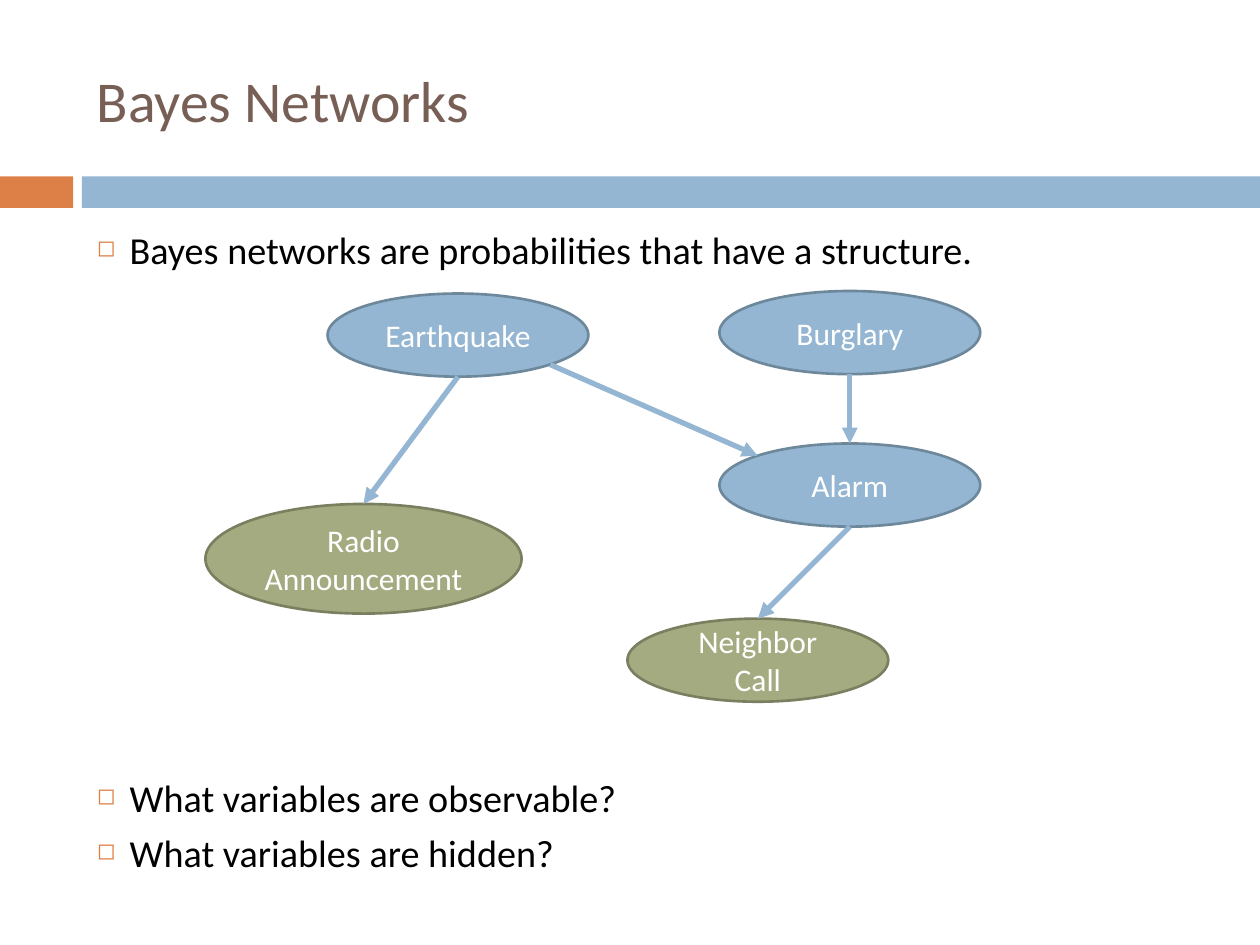
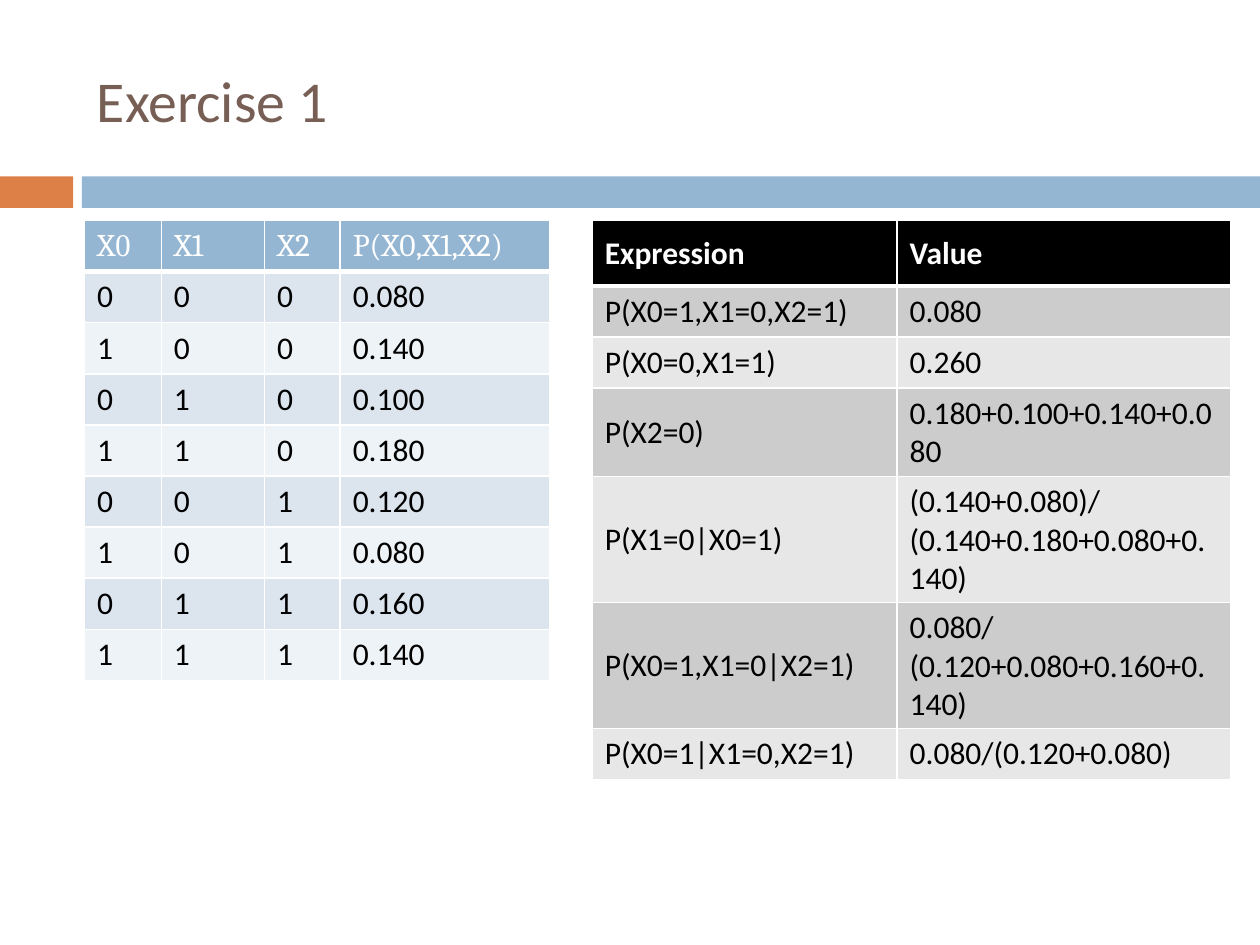
from dataclasses import dataclass
from math import cos, radians, sin

from lxml.etree import SubElement
from pptx import Presentation
from pptx.dml.color import RGBColor as RGB
from pptx.enum.shapes import MSO_CONNECTOR as CONN, MSO_SHAPE as SHAPE
from pptx.enum.text import MSO_ANCHOR as ANCHOR, PP_ALIGN as ALIGN
from pptx.oxml.ns import qn
from pptx.util import Inches, Pt


@dataclass(frozen=True)
class Theme:
    blue: str = "94B6D2"
    blue_line: str = "6D879B"
    green: str = "A5AB81"
    green_line: str = "7A7F5F"
    orange: str = "DD8047"
    brown: str = "775F55"
    black: str = "000000"
    white: str = "FFFFFF"
    blue_bands: tuple = ("DCE5EE", "EEF3F7")
    grey_bands: tuple = ("CCCCCC", "E7E7E7")
    font: str = "Calibri"
    math_font: str = "Cambria"
    digit_font: str = "Times New Roman"
    title_size: float = 33
    body_size: float = 21.8
    label_size: float = 18


T = Theme()

# Content: bullets as (top, lines)
BULLETS = [
    (1.75, ["Bayes networks are probabilities that have a structure."]),
    (6.1, ["What variables are observable?", "What variables are hidden?"]),
]

# Network nodes: name -> (left, top, width, height, observable)
NODES = {
    "Earthquake": (2.6, 2.33, 2.07, 0.66, False),
    "Burglary": (5.71, 2.31, 2.07, 0.66, False),
    "Alarm": (5.71, 3.52, 2.07, 0.66, False),
    "Neighbor\nCall": (4.98, 4.91, 2.07, 0.66, True),
    "Radio\nAnnouncement": (1.63, 4, 2.51, 0.87, True),
}

# Clockwise angles on a node's rim, from its right end
TOP, BOTTOM, LOWER_RIGHT, UPPER_LEFT = 270, 90, 45, 225
EDGES = [
    ("Earthquake", BOTTOM, "Radio\nAnnouncement", TOP),
    ("Burglary", BOTTOM, "Alarm", TOP),
    ("Alarm", BOTTOM, "Neighbor\nCall", TOP),
    ("Earthquake", LOWER_RIGHT, "Alarm", UPPER_LEFT),
]

# Header cells are lists of (text, font) runs
JOINT_HEADER = [
    [("X", T.math_font), ("0", T.digit_font)],
    [("X1", T.math_font)],
    [("X2", T.math_font)],
    [("P(X0,X1,X2)", T.math_font)],
]
JOINT_PROBS = ["0.080", "0.140", "0.100", "0.180",
               "0.120", "0.080", "0.160", "0.140"]
EXPRESSION_HEADER = [[("Expression", T.font)], [("Value", T.font)]]
EXPRESSIONS = [
    ("P(X0=1,X1=0,X2=1)", "0.080"),
    ("P(X0=0,X1=1)", "0.260"),
    ("P(X2=0)", "0.180+0.100+0.140+0.080"),
    ("P(X1=0|X0=1)", "(0.140+0.080)/(0.140+0.180+0.080+0.140)"),
    ("P(X0=1,X1=0|X2=1)", "0.080/(0.120+0.080+0.160+0.140)"),
    ("P(X0=1|X1=0,X2=1)", "0.080/(0.120+0.080)"),
]
ROW_H = 3.65 / 9


def box(*lengths):
    return [Inches(v) for v in lengths]


def add_run(p, text, size, color, font=T.font, bold=False):
    r = p.add_run()
    r.text = text
    r.font.size, r.font.name, r.font.bold = Pt(size), font, bold
    r.font.color.rgb = RGB.from_string(color)


def add_filled(s, shape, at, fill, line=None):
    sp = s.shapes.add_shape(shape, *box(*at))
    sp.shadow.inherit = False
    sp.fill.solid()
    sp.fill.fore_color.rgb = RGB.from_string(fill)
    if line:
        sp.line.color.rgb = RGB.from_string(line)
        sp.line.width = Pt(1.5)
    else:
        sp.line.fill.background()
    return sp


def add_text_box(s, *at):
    tf = s.shapes.add_textbox(*box(*at)).text_frame
    tf.word_wrap = True
    return tf


def add_slide(prs, title):
    """Blank slide with the shared band and title."""
    s = prs.slides.add_slide(prs.slide_layouts[6])
    add_filled(s, SHAPE.RECTANGLE, (0, 1.4, 0.58, 0.25), T.orange)
    add_filled(s, SHAPE.RECTANGLE, (0.65, 1.4, 9.35, 0.25), T.blue)
    tf = add_text_box(s, 0.67, 0.25, 8.92, 1.08)
    tf.vertical_anchor = ANCHOR.MIDDLE
    add_run(tf.paragraphs[0], title, T.title_size, T.brown)
    return s


def add_bullets(s, top, lines):
    tf = add_text_box(s, 0.67, top, 8.92, 0.5 * len(lines))
    for i, line in enumerate(lines):
        p = tf.add_paragraph() if i else tf.paragraphs[0]
        p.space_before = Pt(5.2)
        pPr = p._p.get_or_add_pPr()
        pPr.set("marL", str(Inches(0.26)))
        pPr.set("indent", str(-Inches(0.26)))
        color = SubElement(pPr, qn("a:buClr"))
        SubElement(color, qn("a:srgbClr"), val=T.orange)
        SubElement(pPr, qn("a:buSzPct"), val="60000")
        SubElement(pPr, qn("a:buChar"), char="◻")
        add_run(p, line, T.body_size, T.black)


def add_node(s, name):
    *at, observable = NODES[name]
    colors = (T.green, T.green_line) if observable else (T.blue, T.blue_line)
    tf = add_filled(s, SHAPE.OVAL, at, *colors).text_frame
    tf.word_wrap = True
    tf.vertical_anchor = ANCHOR.MIDDLE
    for i, line in enumerate(name.split("\n")):
        p = tf.add_paragraph() if i else tf.paragraphs[0]
        p.alignment = ALIGN.CENTER
        add_run(p, line, T.label_size, T.white)


def rim_point(name, angle):
    left, top, w, h, _ = NODES[name]
    a = radians(angle)
    return left + w / 2 * (1 + cos(a)), top + h / 2 * (1 + sin(a))


def add_edge(s, start, start_angle, end, end_angle):
    ends = rim_point(start, start_angle) + rim_point(end, end_angle)
    c = s.shapes.add_connector(CONN.STRAIGHT, *box(*ends))
    c.line.color.rgb = RGB.from_string(T.blue)
    c.line.width = Pt(3)
    SubElement(c.line._get_or_add_ln(), qn("a:tailEnd"), type="triangle")
    SubElement(c._element.spPr, qn("a:effectLst"))


def style_cell(cell, fill, top, bottom):
    """Fill a cell and rule it in white; top and bottom are line widths."""
    cell.vertical_anchor = ANCHOR.MIDDLE
    tcPr = cell._tc.get_or_add_tcPr()
    for side, width in (("L", 1), ("R", 1), ("T", top), ("B", bottom)):
        ln = SubElement(tcPr, qn(f"a:ln{side}"), w=str(Pt(width)))
        SubElement(SubElement(ln, qn("a:solidFill")), qn("a:srgbClr"), val=T.white)
    cell.fill.solid()
    cell.fill.fore_color.rgb = RGB.from_string(fill)


def add_table(s, left, widths, header, rows, head_fill, bands,
              head_h=ROW_H, head_bold=False):
    n = len(rows) + 1
    at = box(left, 1.75, sum(widths), n * ROW_H)
    table = s.shapes.add_table(n, len(widths), *at).table
    table.rows[0].height = Inches(head_h)
    for col, width in zip(table.columns, widths):
        col.width = Inches(width)
    for j, runs in enumerate(header):
        cell = table.cell(0, j)
        style_cell(cell, head_fill, 1, 3)
        for text, font in runs:
            add_run(cell.text_frame.paragraphs[0], text, T.label_size,
                    T.white, font, head_bold)
    for i, row in enumerate(rows, 1):
        for j, text in enumerate(row):
            cell = table.cell(i, j)
            style_cell(cell, bands[(i - 1) % 2], 3 if i == 1 else 1, 1)
            add_run(cell.text_frame.paragraphs[0], text, T.label_size, T.black)


def main():
    prs = Presentation()
    prs.slide_width, prs.slide_height = box(10, 7.5)

    # Bayes network
    s = add_slide(prs, "Bayes Networks")
    for top, lines in BULLETS:
        add_bullets(s, top, lines)
    for name in NODES:
        add_node(s, name)
    for edge in EDGES:
        add_edge(s, *edge)

    # Exercise: X0 varies fastest in the joint distribution
    s = add_slide(prs, "Exercise 1")
    joint = [(str(i % 2), str(i // 2 % 2), str(i // 4), prob)
             for i, prob in enumerate(JOINT_PROBS)]
    add_table(s, 0.67, (0.61, 0.82, 0.6, 1.66), JOINT_HEADER, joint,
              T.blue, T.blue_bands)
    add_table(s, 4.7, (2.42, 2.65), EXPRESSION_HEADER, EXPRESSIONS,
              T.black, T.grey_bands, head_h=0.52, head_bold=True)

    prs.save("out.pptx")


if __name__ == "__main__":
    main()
